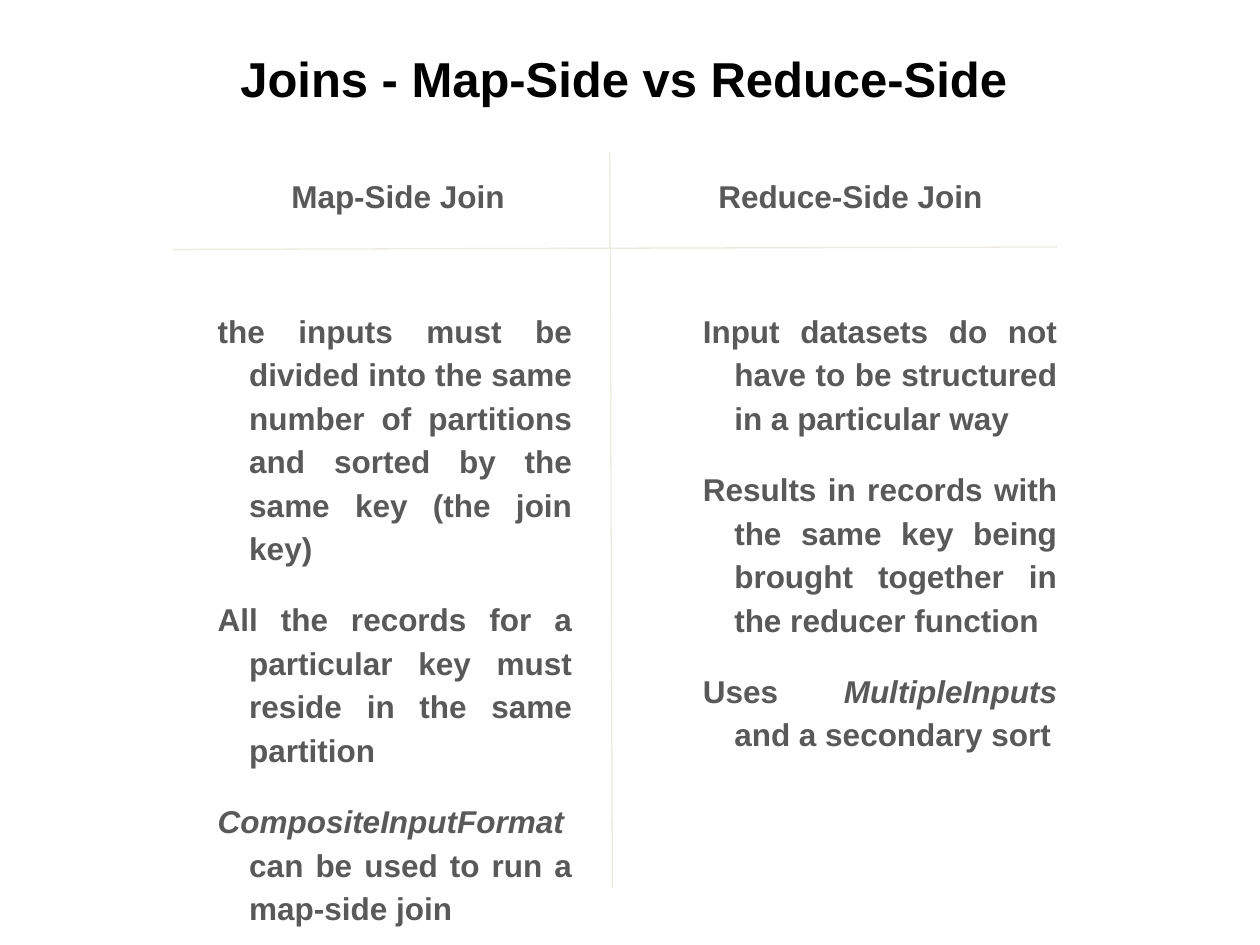
"""Build a slide that compares map-side and reduce-side joins."""
from lxml import etree
from pptx import Presentation, util as u
from pptx.dml.color import RGBColor
from pptx.enum import shapes, text
from pptx.oxml.ns import qn

TITLE = "Joins - Map-Side vs Reduce-Side"
GREY, RULE = "595959", "EEECE1"
RULES = [(4.84, 1.21, 4.86, 7.05), (1.37, 1.98, 8.39, 1.96)]
HEADS = [("Map-Side Join", 1.88), ("Reduce-Side Join", 5.47)]
# Odd-numbered parts of each point are italic.
LISTS = [
    (0.88, 4.57, [
        ["the inputs must be divided into the same number of partitions "
         "and sorted by the same key (the join key)"],
        ["All the records for a particular key must reside in the same partition"],
        ["", "CompositeInputFormat", " can be used to run a map-side join"],
    ]),
    (4.73, 4.39, [
        ["Input datasets do not have to be structured in a particular way"],
        ["Results in records with the same key being brought together "
         "in the reducer function"],
        ["Uses ", "MultipleInputs", " and a secondary sort"],
    ]),
]


def paint(color, value):
    color.rgb = RGBColor.from_string(value)


def style(par, size, color, align):
    par.alignment = align
    par.font.name, par.font.size, par.font.bold = "Arial", u.Pt(size), True
    paint(par.font.color, color)


def add_title(slide):
    title = slide.shapes.title
    title.left, title.top = u.Inches(0.29), u.Inches(0.2)
    title.width, title.height = u.Inches(9.32), u.Inches(0.84)
    frame = title.text_frame
    frame.text = TITLE
    frame.vertical_anchor = text.MSO_ANCHOR.MIDDLE
    style(frame.paragraphs[0], 28, "000000", text.PP_ALIGN.CENTER)


def add_rule(slide, ends):
    line = slide.shapes.add_connector(
        shapes.MSO_CONNECTOR.STRAIGHT, *map(u.Inches, ends))
    paint(line.line.color, RULE)
    line.line.width = u.Pt(0.75)
    etree.SubElement(line._element.spPr, qn("a:effectLst"))


def add_text(slide, box, points, align, level=0):
    frame = slide.shapes.add_textbox(*map(u.Inches, box)).text_frame
    frame.word_wrap = True
    frame.margin_left = frame.margin_right = u.Inches(0.1)
    frame.margin_top = frame.margin_bottom = u.Inches(0.1)
    for n, parts in enumerate(points):
        par = frame.add_paragraph() if n else frame.paragraphs[0]
        par.level, par.line_spacing, par.space_after = level, 1.15, u.Pt(16)
        if level:
            props = par._p.get_or_add_pPr()
            props.set("marL", str(u.Inches(1)))
            props.set("indent", str(u.Inches(-0.25)))
        style(par, 18, GREY, align)
        for i, part in enumerate(parts):
            if part:
                run = par.add_run()
                run.text = part
                if i % 2:
                    run.font.italic = True


def main():
    deck = Presentation()
    deck.slide_width, deck.slide_height = u.Inches(10), u.Inches(7.5)
    slide = deck.slides.add_slide(deck.slide_layouts[5])
    add_title(slide)
    for ends in RULES:
        add_rule(slide, ends)
    for head, left in HEADS:
        add_text(slide, (left, 1.26, 2.56, 0.71), [[head]], text.PP_ALIGN.CENTER)
    for left, height, points in LISTS:
        add_text(slide, (left, 2.33, 3.76, height), points,
                 text.PP_ALIGN.JUSTIFY, level=1)
    deck.save("out.pptx")


if __name__ == "__main__":
    main()
